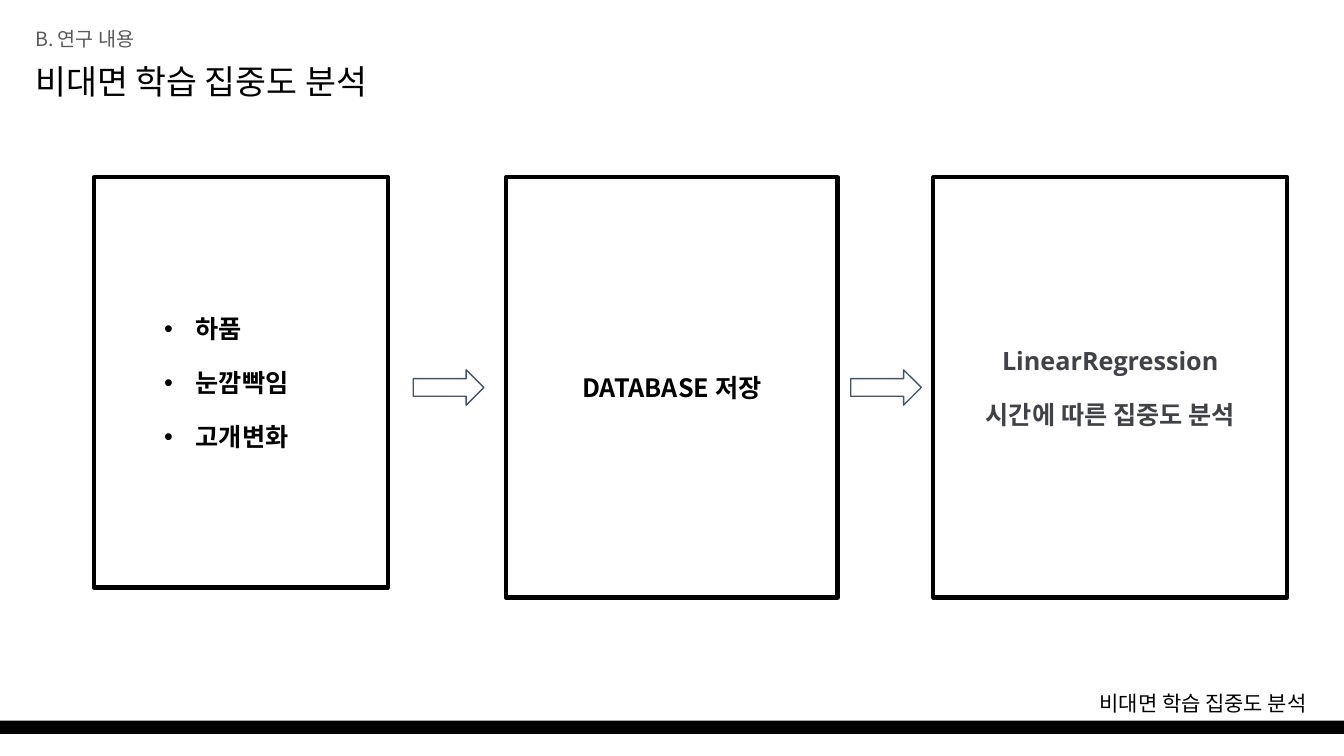
from dataclasses import dataclass

from lxml.etree import SubElement
from pptx import Presentation
from pptx.dml.color import RGBColor
from pptx.enum.shapes import MSO_SHAPE as Shape
from pptx.enum.text import MSO_ANCHOR as Anchor
from pptx.enum.text import MSO_AUTO_SIZE as AutoSize
from pptx.enum.text import PP_ALIGN as Align
from pptx.oxml.ns import qn
from pptx.util import Pt


@dataclass(frozen=True)
class Theme:
    """Colours, fonts and type sizes of the slide."""
    black: str = "000000"
    grey: str = "595959"
    charcoal: str = "404248"
    slate: str = "44546A"
    korean: str = "Noto Sans CJK KR"
    latin: str = "Open Sans"
    title: int = 24
    section: int = 14
    footer: int = 15
    body: int = 18
    gap: int = 17
    indent: float = 22.5


THEME = Theme()


def write(frame, lines, size, color, font=THEME.korean, bold=False, align=Align.LEFT, gap=0):
    """Fill a text frame with one formatted paragraph per line."""
    for index, line in enumerate(lines):
        paragraph = frame.paragraphs[0] if index == 0 else frame.add_paragraph()
        spacing = {"alignment": align, "space_before": Pt(gap if index else 0), "line_spacing": 1.0}
        for key, value in spacing.items():
            setattr(paragraph, key, value)
        run = paragraph.add_run()
        run.text = line
        for key, value in {"size": Pt(size), "bold": bold, "name": font}.items():
            setattr(run.font, key, value)
        run.font.color.rgb = RGBColor.from_string(color)
        SubElement(run.font._element, qn("a:ea"), typeface=THEME.korean)


def label(shape, box, text, size, color):
    """Place a single unwrapped line of text at the top left of its box."""
    for key, value in zip(("left", "top", "width", "height"), box):
        setattr(shape, key, Pt(value))
    frame = shape.text_frame
    settings = {"word_wrap": False, "auto_size": AutoSize.SHAPE_TO_FIT_TEXT,
                "vertical_anchor": Anchor.TOP}
    for key, value in settings.items():
        setattr(frame, key, value)
    write(frame, [text], size, color)


def block(slide, kind, box, fill=None, line=None, weight=0):
    """Add a shadowless preset shape with an optional fill and outline."""
    shape = slide.shapes.add_shape(kind, *map(Pt, box))
    shape.shadow.inherit = False
    for paint, color in ((shape.fill, fill), (shape.line.fill, line)):
        if color:
            paint.solid()
            paint.fore_color.rgb = RGBColor.from_string(color)
        else:
            paint.background()
    if line:
        shape.line.width = Pt(weight)
    return shape


def header(slide, box):
    """Place the section label above the slide title."""
    left, top, width, height = box
    section = slide.shapes.add_textbox(0, 0, 0, 0)
    label(section, (left, top, 92.2, 24.5), "B. 연구 내용", THEME.section, THEME.grey)
    label(slide.shapes.title, (left, top + 23.8, width, height - 23.8),
          "비대면 학습 집중도 분석", THEME.title, THEME.black)


def footer(slide, box):
    """Draw the bottom band with the running title above its right end."""
    left, top, width, height = box
    block(slide, Shape.RECTANGLE, box, fill=THEME.black)
    running = slide.shapes.add_textbox(0, 0, 0, 0)
    label(running, (left + width - 181.7, top - 25.2, 182.2, 25.2),
          "비대면 학습 집중도 분석", THEME.footer, THEME.black)


def signals(slide, box):
    """Draw the frame that lists the observed signals as bullets."""
    left, top, width, height = box
    block(slide, Shape.RECTANGLE, box, line=THEME.black, weight=3)
    inset = 43.2
    listing = slide.shapes.add_textbox(*map(Pt, (left + inset, top, width - inset, height)))
    frame = listing.text_frame
    frame.word_wrap = True
    frame.vertical_anchor = Anchor.MIDDLE
    write(frame, ["하품", "눈깜빡임", "고개변화"], THEME.body, THEME.black,
          bold=True, gap=THEME.gap)
    for paragraph in frame.paragraphs:
        properties = paragraph._p.get_or_add_pPr()
        properties.set("marL", str(Pt(THEME.indent)))
        properties.set("indent", str(-Pt(THEME.indent)))
        SubElement(properties, qn("a:buFont"), typeface="Arial")
        SubElement(properties, qn("a:buChar"), char="•")


def stage(slide, box, lines, color, font):
    """Draw a framed process stage with centred bold text."""
    shape = block(slide, Shape.RECTANGLE, box, line=THEME.black, weight=3)
    frame = shape.text_frame
    frame.word_wrap = True
    frame.vertical_anchor = Anchor.MIDDLE
    write(frame, lines, THEME.body, color, font, True, Align.CENTER, THEME.gap)


def process(slide, box):
    """Lay out the three stages and the arrows between them."""
    left, top, width, height = box
    signals(slide, (left, top, 210.2, height - 7.2))
    stage(slide, (left + 294.4, top, 236.9, height), ["DATABASE 저장"],
          THEME.black, THEME.korean)
    stage(slide, (left + width - 252.7, top, 252.7, height),
          ["LinearRegression", "시간에 따른 집중도 분석"], THEME.charcoal, THEME.latin)
    for offset in (228.2, 540.7):
        arrow = (left + offset, top + height / 2 - 12.6, 50.4, 25.2)
        block(slide, Shape.RIGHT_ARROW, arrow, line=THEME.slate, weight=1)


def main():
    """Build the slide and save it."""
    deck = Presentation()
    deck.slide_width, deck.slide_height = Pt(960), Pt(540)
    slide = deck.slides.add_slide(deck.slide_layouts.get_by_name("Title Only"))
    header(slide, (18, 15.8, 283, 59.8))
    process(slide, (67, 126.7, 852.4, 300.2))
    footer(slide, (0, 514.8, 960, 9.4))
    deck.save("out.pptx")


if __name__ == "__main__":
    main()
